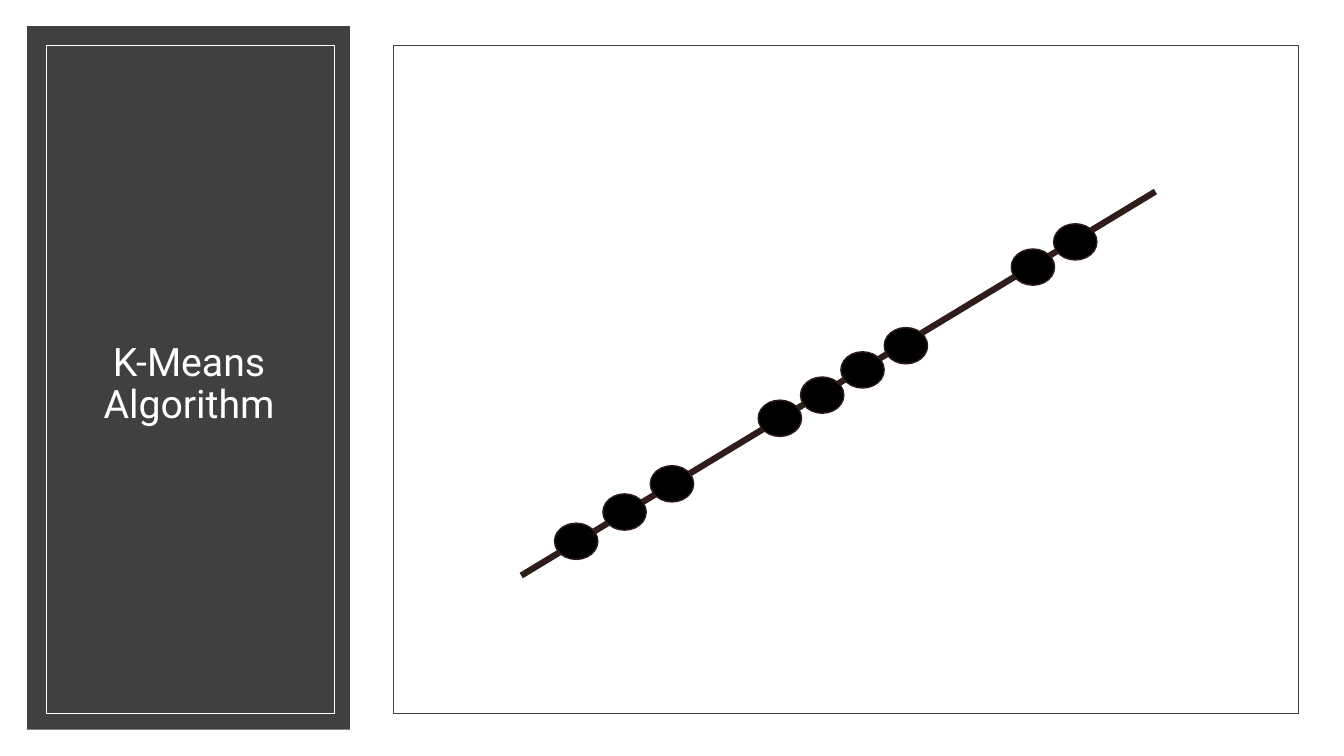
from lxml import etree
from pptx import Presentation
from pptx.dml.color import RGBColor
from pptx.enum import shapes, text
from pptx.oxml import ns
from pptx.util import Inches, Pt

COLORS = {
    "backdrop": "000000",
    "page": "FFFFFF",
    "panel": "404040",
    "title": "FFFFFF",
    "dot": "000000",
    "axis": "2F1D1B",
}
FONT = "Roboto"
SLIDE_SIZE = (13.33, 7.5)
DOT_SIZE = (0.43, 0.36)
# Left and top of each data point within the plot frame, one row per cluster
CLUSTERS = [
    [(1.6, 4.74), (2.08, 4.45), (2.55, 4.17)],
    [(3.62, 3.52), (4.04, 3.29), (4.44, 3.04), (4.87, 2.8)],
    [(6.13, 2.02), (6.55, 1.77)],
]


def color(name):
    return RGBColor.from_string(COLORS[name])


def add_figure(slide, preset, box, fill=None, line=None, width=0.5):
    figure = slide.shapes.add_shape(preset, *map(Inches, box))
    figure.shadow.inherit = False
    if fill:
        figure.fill.solid()
        figure.fill.fore_color.rgb = color(fill)
    else:
        figure.fill.background()
    if line:
        figure.line.color.rgb = color(line)
        figure.line.width = Pt(width)
    else:
        figure.line.fill.background()


def add_page(slide):
    slide.background.fill.solid()
    slide.background.fill.fore_color.rgb = color("backdrop")
    add_figure(slide, shapes.MSO_SHAPE.RECTANGLE, (0, 0, *SLIDE_SIZE), fill="page")


def add_title_panel(slide, left, top, width, height):
    rectangle = shapes.MSO_SHAPE.RECTANGLE
    add_figure(slide, rectangle, (left, top, width, height), fill="panel")
    add_figure(slide, rectangle,
               (left + 0.19, top + 0.19, width - 0.34, height - 0.35), line="title")

    title = slide.shapes.add_textbox(
        Inches(left + 0.34), Inches(top + 0.41),
        Inches(width - 0.67), Inches(height - 0.68))
    frame = title.text_frame
    frame.word_wrap = True
    frame.vertical_anchor = text.MSO_ANCHOR.MIDDLE
    frame.text = "K-Means Algorithm"
    paragraph = frame.paragraphs[0]
    paragraph.alignment = text.PP_ALIGN.CENTER
    paragraph.line_spacing = 0.9
    font = paragraph.runs[0].font
    font.name = FONT
    font.size = Pt(28)
    font.color.rgb = color("title")


def add_cluster_plot(slide, left, top, width, height):
    """Draw the frame, the slanted axis and the data points lying on it."""
    add_figure(slide, shapes.MSO_SHAPE.RECTANGLE,
               (left, top, width, height), line="panel")

    axis = slide.shapes.add_connector(
        shapes.MSO_CONNECTOR.STRAIGHT,
        Inches(left + 1.27), Inches(top + 5.26),
        Inches(left + 7.56), Inches(top + 1.45))
    axis.line.color.rgb = color("axis")
    axis.line.width = Pt(4.5)
    etree.SubElement(axis._element.spPr, ns.qn("a:effectLst"))

    for cluster in CLUSTERS:
        for x, y in cluster:
            add_figure(slide, shapes.MSO_SHAPE.OVAL, (left + x, top + y, *DOT_SIZE),
                       fill="dot", line="axis", width=1)


def main():
    deck = Presentation()
    deck.slide_width, deck.slide_height = map(Inches, SLIDE_SIZE)
    slide = deck.slides.add_slide(deck.slide_layouts[6])
    add_page(slide)
    add_title_panel(slide, 0.27, 0.26, 3.2, 6.98)
    add_cluster_plot(slide, 3.9, 0.45, 8.98, 6.63)
    deck.save("out.pptx")


if __name__ == "__main__":
    main()
